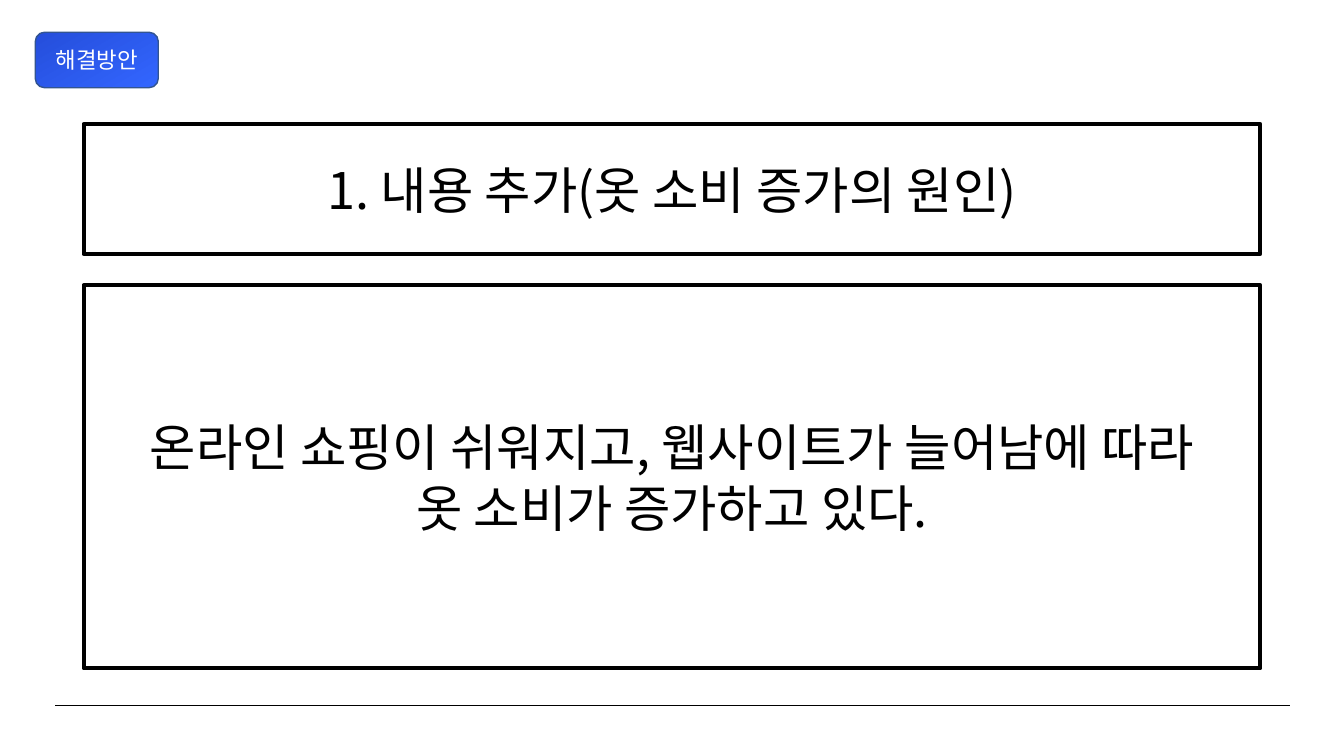
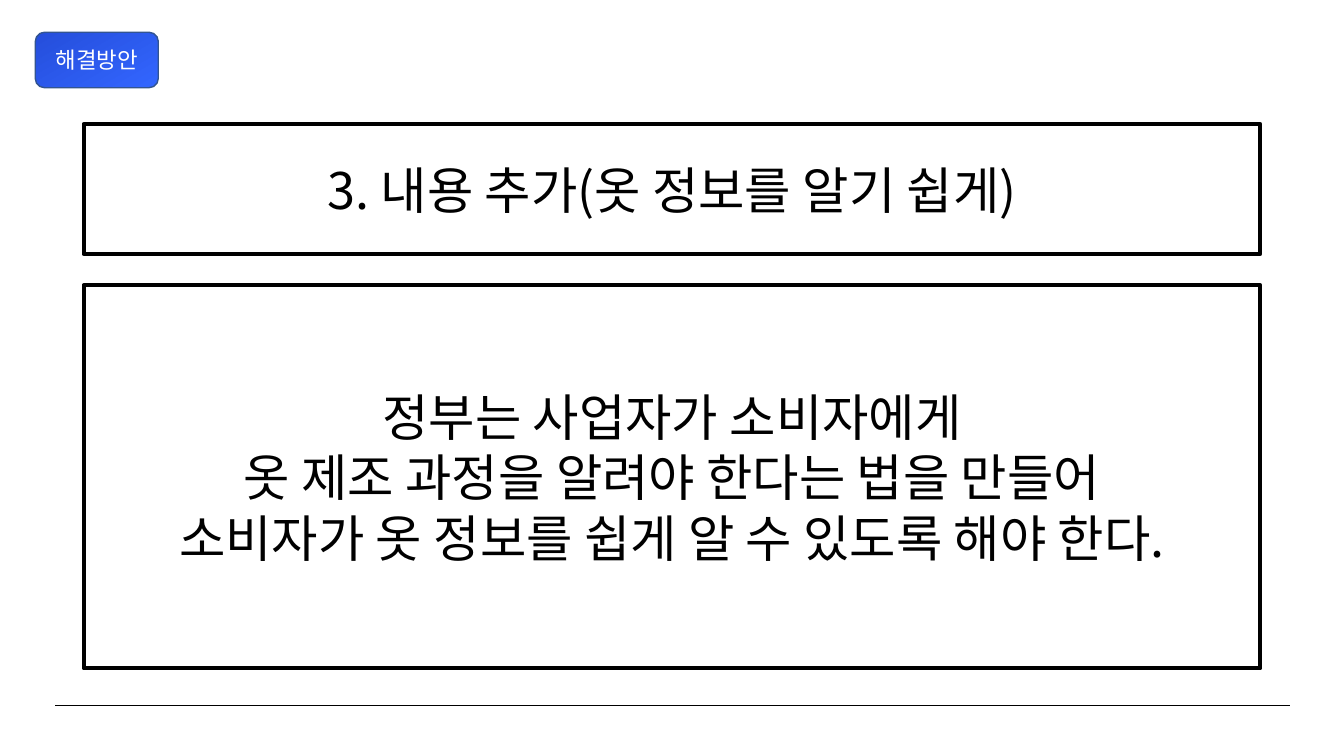
from lxml import etree
from pptx import Presentation
from pptx.dml.color import RGBColor
from pptx.enum.shapes import MSO_CONNECTOR, MSO_SHAPE
from pptx.enum.text import MSO_ANCHOR, PP_ALIGN
from pptx.oxml.ns import qn
from pptx.util import Inches, Pt

STRAIGHT = MSO_CONNECTOR.STRAIGHT
RECTANGLE, ROUNDED = MSO_SHAPE.RECTANGLE, MSO_SHAPE.ROUNDED_RECTANGLE
MIDDLE, CENTER = MSO_ANCHOR.MIDDLE, PP_ALIGN.CENTER

BLACK = RGBColor(0x00, 0x00, 0x00)
WHITE = RGBColor(0xFF, 0xFF, 0xFF)
BRIGHT_BLUE = RGBColor(0x33, 0x66, 0xFF)
DEEP_BLUE = RGBColor(0x25, 0x4E, 0xDB)
TAG_BORDER = RGBColor(0x32, 0x54, 0x91)
FONT = "Noto Sans CJK KR"

BOX_LEFT, BOX_WIDTH = 0.83, 11.67

SECTION = "해결방안"
SOLUTIONS = [
    ("1. 내용 추가(옷 소비 증가의 원인)",
     ["온라인 쇼핑이 쉬워지고, 웹사이트가 늘어남에 따라",
      "옷 소비가 증가하고 있다."]),
    ("3. 내용 추가(옷 정보를 알기 쉽게)",
     ["정부는 사업자가 소비자에게",
      "옷 제조 과정을 알려야 한다는 법을 만들어",
      "소비자가 옷 정보를 쉽게 알 수 있도록 해야 한다."]),
]


def add_box(slide, lines, left, top, width, height, shape=RECTANGLE,
            size=36, color=BLACK, border=BLACK, border_width=3):
    box = slide.shapes.add_shape(shape, Inches(left), Inches(top),
                                 Inches(width), Inches(height))
    box.shadow.inherit = False
    box.fill.background()
    box.line.color.rgb = border
    box.line.width = Pt(border_width)
    frame = box.text_frame
    frame.word_wrap = True
    frame.vertical_anchor = MIDDLE
    for number, line in enumerate(lines):
        paragraph = frame.add_paragraph() if number else frame.paragraphs[0]
        paragraph.alignment = CENTER
        run = paragraph.add_run()
        run.text = line
        run.font.size = Pt(size)
        run.font.name = FONT
        run.font.color.rgb = color
        # Hangul takes the East Asian typeface
        east_asian = etree.SubElement(run.font._element, qn("a:ea"))
        east_asian.set("typeface", FONT)
    return box


prs = Presentation()
prs.slide_width, prs.slide_height = Inches(13.33), Inches(7.5)
blank = prs.slide_layouts[6]

for heading, statement in SOLUTIONS:
    slide = prs.slides.add_slide(blank)

    # Footer rule
    footer_rule = slide.shapes.add_connector(
        STRAIGHT, Inches(0.55), Inches(7), Inches(12.79), Inches(7))
    footer_rule.line.color.rgb = BLACK
    footer_rule.line.width = Pt(0.5)
    etree.SubElement(footer_rule._element.spPr, qn("a:effectLst"))

    # Heading and statement
    add_box(slide, [heading], BOX_LEFT, 1.23, BOX_WIDTH, 1.29)
    add_box(slide, statement, BOX_LEFT, 2.83, BOX_WIDTH, 3.8)

    # Section tag
    tag = add_box(slide, [SECTION], 0.35, 0.32, 1.22, 0.55, shape=ROUNDED,
                  size=16, color=WHITE, border=TAG_BORDER, border_width=1)
    tag.fill.gradient()
    tag.fill.gradient_angle = 120
    for stop, shade in zip(tag.fill.gradient_stops, (BRIGHT_BLUE, DEEP_BLUE)):
        stop.color.rgb = shade

prs.save("out.pptx")
